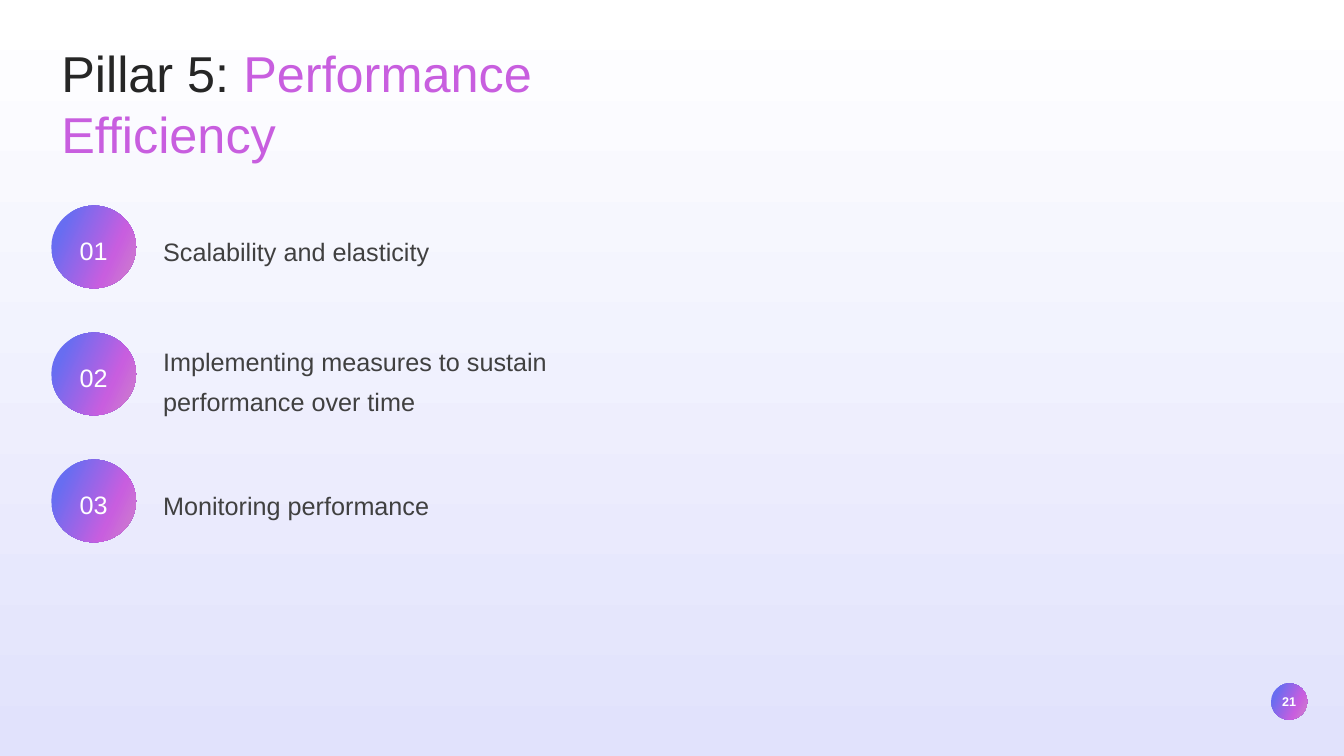
"""Build the Performance Efficiency pillar slide with three numbered points."""
from lxml.etree import SubElement as Sub
from pptx import Presentation
from pptx.dml.color import RGBColor as RGB
from pptx.enum.shapes import MSO_SHAPE as Shape
from pptx.enum.text import MSO_ANCHOR as Anchor, PP_ALIGN as Align
from pptx.oxml.ns import qn
from pptx.util import Pt

TITLE = ("Pillar 5: ", "Performance Efficiency")
POINTS = [
    ("Scalability and elasticity", 12.24, 354.24, 33.84),
    ("Implementing measures to sustain performance over time", 0, 365.76, 62.64),
    ("Monitoring performance", 12.24, 365.76, 33.84),
]
PAGE = "21"

WHITE = RGB(0xFF, 0xFF, 0xFF)
INK = RGB(0x26, 0x26, 0x26)
GRAY = RGB(0x40, 0x40, 0x40)
LILAC = RGB(0xE1, 0xE2, 0xFC)
BLUE = RGB(0x19, 0x21, 0xEA)
INDIGO = RGB(0x68, 0x6D, 0xF1)
VIOLET = RGB(0xC8, 0x5E, 0xDF)
ROSE = RGB(0xCE, 0x84, 0xCA)
BACK = [(0, WHITE), (100, LILAC)]
BADGE = [(17, INDIGO), (69, VIOLET), (100, ROSE)]
WORDS = [(17, BLUE), (69, VIOLET), (100, ROSE)]

LEFT, TOP, STEP = 36.72, 146.88, 90.72
WIDE, HIGH = 60.48, 59.04
TEXT = 109.44


def paint(fill, owner, stops, angle):
    fill.gradient()
    fill.gradient_angle = 360 - angle
    group = next(owner.element.iter(qn("a:gsLst")))
    for old in list(group):
        group.remove(old)
    for place, color in stops:
        stop = Sub(group, qn("a:gs"), pos=str(place * 1000))
        Sub(stop, qn("a:srgbClr"), val=str(color))


def style(item, **values):
    for name, value in values.items():
        setattr(item, name, value)


def write(para, text, size, color, bold=False):
    run = para.add_run()
    run.text = text
    style(run.font, name="Arial", size=Pt(size), bold=bold)
    run.font.color.rgb = color
    return run


def add_box(slide, *area):
    box = slide.shapes.add_textbox(*map(Pt, area))
    box.text_frame.word_wrap = True
    return box


def add_disc(slide, *area):
    disc = slide.shapes.add_shape(Shape.OVAL, *map(Pt, area))
    disc.shadow.inherit = False
    disc.line.fill.background()
    paint(disc.fill, disc, BADGE, 25)
    return disc


def add_title(slide):
    box = add_box(slide, LEFT, 26.64, 468.72, 94.32)
    para = box.text_frame.paragraphs[0]
    lead, rest = TITLE
    write(para, lead, 36, INK)
    run = write(para, rest, 36, VIOLET)
    paint(run.font.fill, box, WORDS, 25)


def add_point(slide, index, text, drop, width, height):
    top = TOP + index * STEP
    box = add_box(slide, TEXT, top + drop, width, height)
    para = box.text_frame.paragraphs[0]
    style(para, line_spacing=1.3, space_after=Pt(8))
    write(para, text, 18, GRAY)

    disc = add_disc(slide, LEFT, top, WIDE, HIGH)
    frame = disc.text_frame
    style(frame, margin_left=0, margin_right=0, margin_top=Pt(8.64),
          margin_bottom=Pt(3.6), vertical_anchor=Anchor.MIDDLE)
    frame.paragraphs[0].alignment = Align.CENTER
    write(frame.paragraphs[0], f"{index + 1:02}", 18, WHITE)


def add_page(slide):
    add_disc(slide, 907.92, 488.16, 25.92, 25.92)
    frame = add_box(slide, 904.32, 491.76, 33.12, 18).text_frame
    frame.vertical_anchor = Anchor.MIDDLE
    frame.paragraphs[0].alignment = Align.CENTER
    write(frame.paragraphs[0], PAGE, 9, WHITE, True)


def main():
    deck = Presentation()
    style(deck, slide_width=Pt(960), slide_height=Pt(540))
    slide = deck.slides.add_slide(deck.slide_layouts[6])
    paint(slide.background.fill, slide, BACK, 90)
    add_page(slide)
    add_title(slide)
    for index, point in enumerate(POINTS):
        add_point(slide, index, *point)
    deck.save("out.pptx")


if __name__ == "__main__":
    main()
